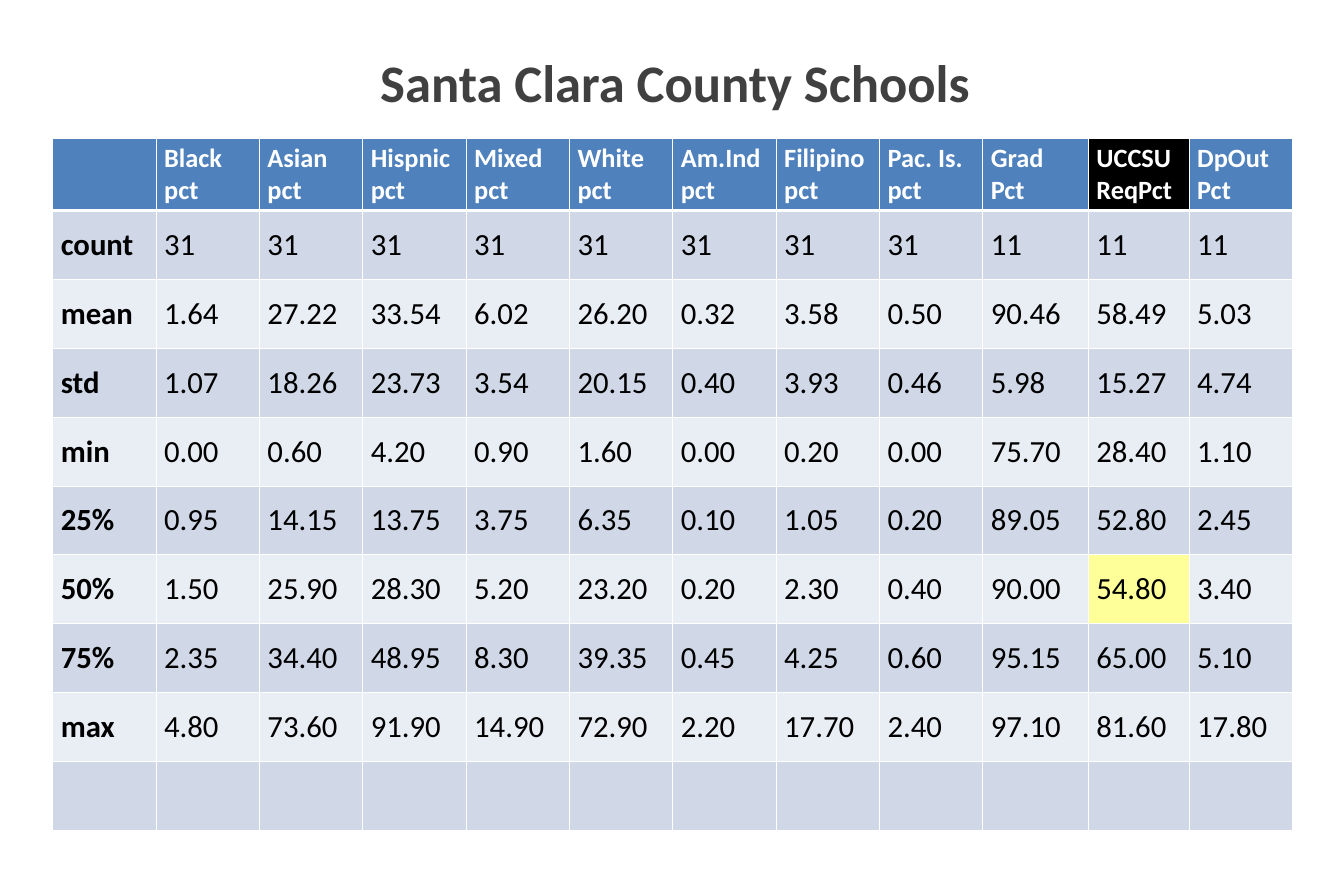
from dataclasses import dataclass

from lxml.etree import SubElement
from pptx import Presentation
from pptx.dml.color import RGBColor
from pptx.enum.text import MSO_ANCHOR, MSO_AUTO_SIZE, PP_ALIGN
from pptx.oxml.ns import qn
from pptx.util import Cm, Pt

# Content
TITLE = "Santa Clara County Schools"
HEADERS = [
    "", "Black\npct", "Asian\npct", "Hispnic\npct", "Mixed\npct", "White\npct",
    "Am.Ind\npct", "Filipino\npct", "Pac. Is.\npct", "Grad\nPct",
    "UCCSU\nReqPct", "DpOut\nPct",
]
STATISTICS = [
    ("count", "31", "31", "31", "31", "31", "31", "31", "31", "11", "11", "11"),
    ("mean", "1.64", "27.22", "33.54", "6.02", "26.20", "0.32", "3.58", "0.50", "90.46", "58.49", "5.03"),
    ("std", "1.07", "18.26", "23.73", "3.54", "20.15", "0.40", "3.93", "0.46", "5.98", "15.27", "4.74"),
    ("min", "0.00", "0.60", "4.20", "0.90", "1.60", "0.00", "0.20", "0.00", "75.70", "28.40", "1.10"),
    ("25%", "0.95", "14.15", "13.75", "3.75", "6.35", "0.10", "1.05", "0.20", "89.05", "52.80", "2.45"),
    ("50%", "1.50", "25.90", "28.30", "5.20", "23.20", "0.20", "2.30", "0.40", "90.00", "54.80", "3.40"),
    ("75%", "2.35", "34.40", "48.95", "8.30", "39.35", "0.45", "4.25", "0.60", "95.15", "65.00", "5.10"),
    ("max", "4.80", "73.60", "91.90", "14.90", "72.90", "2.20", "17.70", "2.40", "97.10", "81.60", "17.80"),
    ("",) * len(HEADERS),
]
ROWS = [HEADERS, *STATISTICS]


@dataclass(frozen=True)
class Theme:
    font: str = "Calibri"
    title_size: int = 48
    header_size: int = 24
    body_size: int = 28
    title: str = "404040"
    header_text: str = "FFFFFF"
    body_text: str = "000000"
    header: str = "4F81BD"
    bands: tuple = ("E9EDF4", "D0D8E8")
    border: str = "FFFFFF"
    border_width: int = 1
    header_rule_width: int = 3


THEME = Theme()
HIGHLIGHTS = {
    (0, HEADERS.index("UCCSU\nReqPct")): "000000",
    (6, HEADERS.index("UCCSU\nReqPct")): "FFFF99",
}

# Layout
TABLE_LEFT, TABLE_TOP = Cm(1.7), Cm(4.45)
COLUMN_WIDTH, ROW_HEIGHT = Cm(3.32), Cm(2.21)
SPECIAL_WIDTHS = {9: Cm(3.39), 10: Cm(3.24)}


def format_text(text_frame, size, color, bold):
    for paragraph in text_frame.paragraphs:
        paragraph.alignment = PP_ALIGN.LEFT
        for run in paragraph.runs:
            run.font.name = THEME.font
            run.font.size = Pt(size)
            run.font.bold = bold
            run.font.color.rgb = RGBColor.from_string(color)


def set_borders(cell, row_index):
    widths = {
        "L": THEME.border_width,
        "R": THEME.border_width,
        "T": THEME.header_rule_width if row_index == 1 else THEME.border_width,
        "B": THEME.header_rule_width if row_index == 0 else THEME.border_width,
    }
    properties = cell._tc.get_or_add_tcPr()
    for side, width in widths.items():
        line = SubElement(properties, qn(f"a:ln{side}"), w=str(Pt(width)))
        fill = SubElement(line, qn("a:solidFill"))
        SubElement(fill, qn("a:srgbClr"), val=THEME.border)


def fill_cell(cell, row_index, column_index, text):
    is_header = row_index == 0
    base_color = THEME.header if is_header else THEME.bands[row_index % 2]
    color = HIGHLIGHTS.get((row_index, column_index), base_color)
    set_borders(cell, row_index)
    cell.fill.solid()
    cell.fill.fore_color.rgb = RGBColor.from_string(color)
    cell.vertical_anchor = MSO_ANCHOR.MIDDLE
    cell.text_frame.text = text
    format_text(
        cell.text_frame,
        THEME.header_size if is_header else THEME.body_size,
        THEME.header_text if is_header else THEME.body_text,
        is_header or column_index == 0,
    )


presentation = Presentation()
presentation.slide_width, presentation.slide_height = Cm(43.18), Cm(27.94)
slide = presentation.slides.add_slide(presentation.slide_layouts[5])

# Title
title = slide.shapes.title
title.left, title.top, title.width, title.height = Cm(11.96), Cm(1.47), Cm(19.6), Cm(2.31)
title.text_frame.text = TITLE
title.text_frame.word_wrap = True
title.text_frame.auto_size = MSO_AUTO_SIZE.NONE
title.text_frame.vertical_anchor = MSO_ANCHOR.TOP
format_text(title.text_frame, THEME.title_size, THEME.title, True)

# Statistics table
column_widths = [SPECIAL_WIDTHS.get(index, COLUMN_WIDTH) for index in range(len(HEADERS))]
table = slide.shapes.add_table(
    len(ROWS), len(HEADERS), TABLE_LEFT, TABLE_TOP,
    sum(column_widths), ROW_HEIGHT * len(ROWS),
).table
for column, width in zip(table.columns, column_widths):
    column.width = width
for row_index, values in enumerate(ROWS):
    table.rows[row_index].height = ROW_HEIGHT
    for column_index, text in enumerate(values):
        fill_cell(table.cell(row_index, column_index), row_index, column_index, text)

presentation.save("out.pptx")
